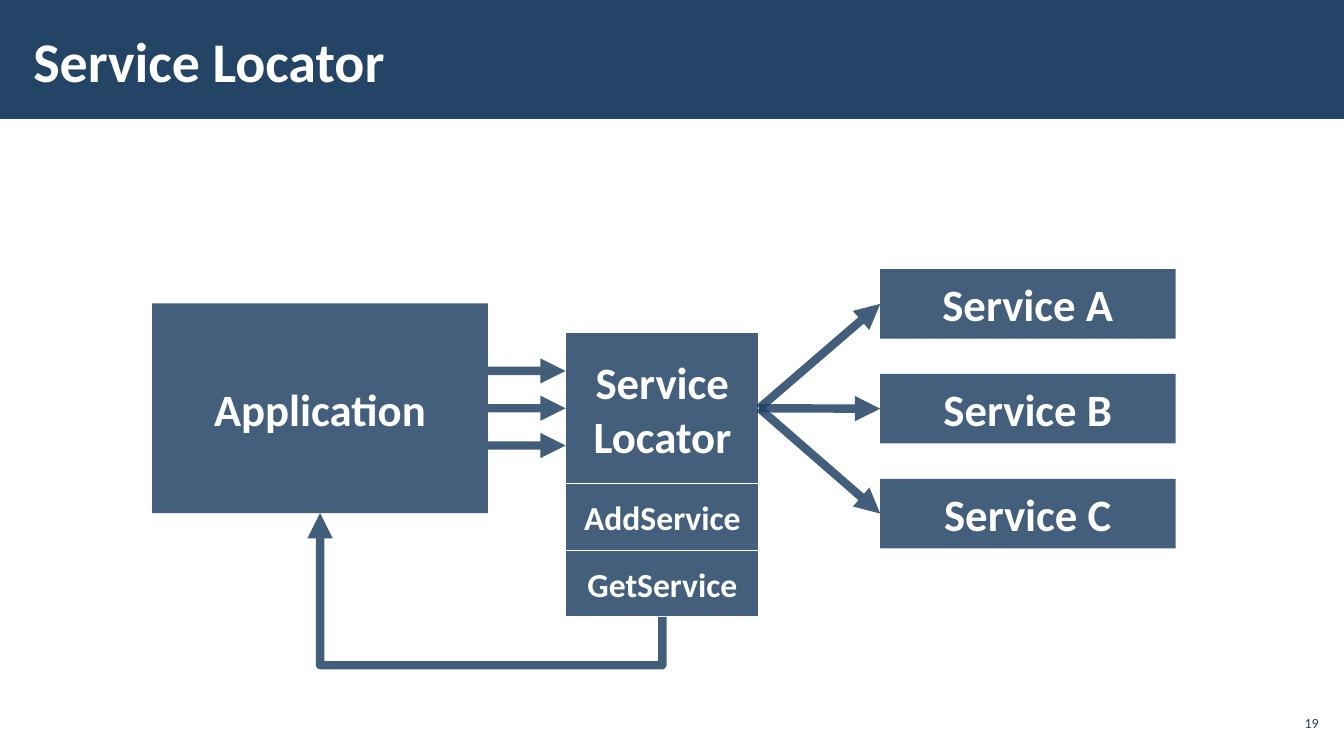
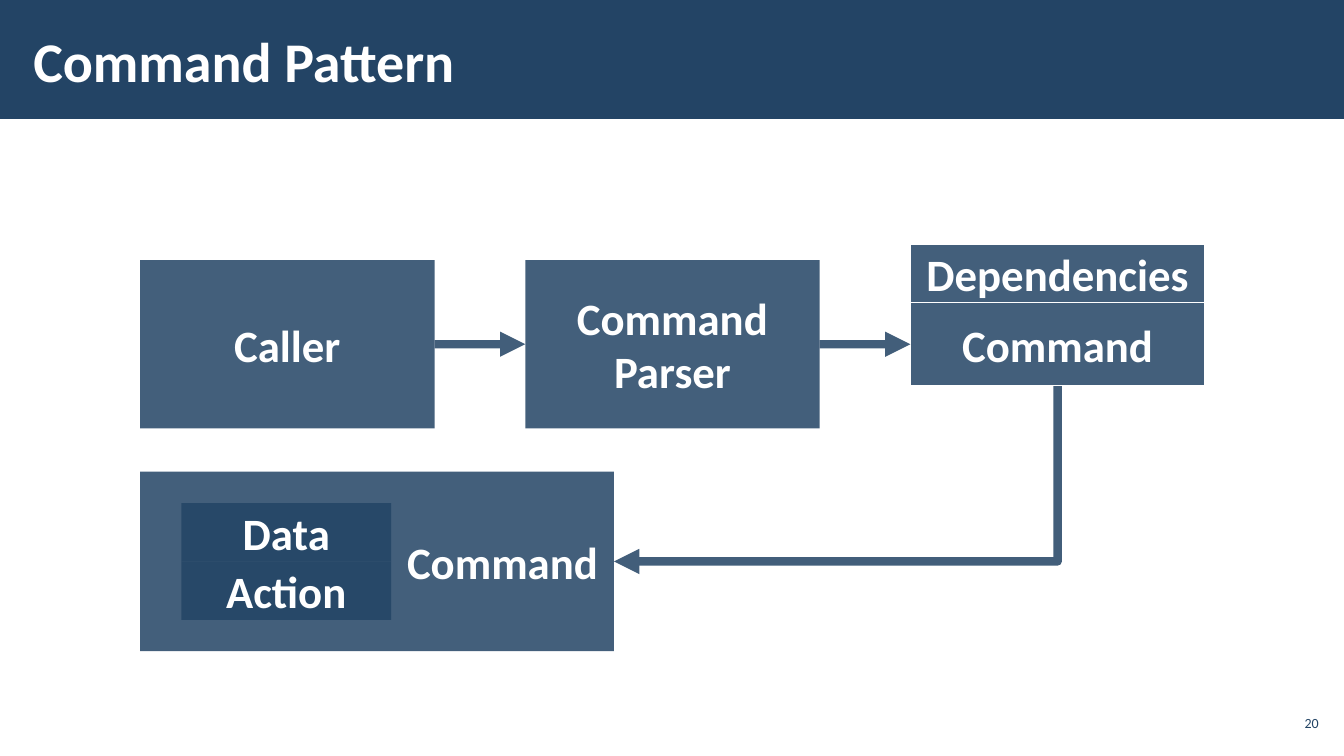
from dataclasses import dataclass

from lxml import etree
from pptx import Presentation
from pptx.dml.color import RGBColor
from pptx.enum.shapes import MSO_CONNECTOR, MSO_SHAPE
from pptx.enum.text import MSO_ANCHOR, PP_ALIGN
from pptx.oxml.ns import qn
from pptx.util import Inches, Pt

RECT = MSO_SHAPE.RECTANGLE
STRAIGHT, ELBOW = MSO_CONNECTOR.STRAIGHT, MSO_CONNECTOR.ELBOW
MIDDLE = MSO_ANCHOR.MIDDLE
LEFT_ALIGN, CENTER, RIGHT_ALIGN = PP_ALIGN.LEFT, PP_ALIGN.CENTER, PP_ALIGN.RIGHT
LEFT, BOTTOM, RIGHT = 1, 2, 3


@dataclass(frozen=True)
class Theme:
    """Colours, font, type sizes and line widths of the deck."""
    navy: RGBColor = RGBColor(0x23, 0x44, 0x65)
    white: RGBColor = RGBColor(0xFF, 0xFF, 0xFF)
    font: str = "Calibri"
    title: int = 40
    label: int = 32
    method: int = 24
    footer: int = 10
    arrow: int = 6
    outline: int = 1
    opacity: int = 85


THEME = Theme()


def write(shape, text, size, color, bold=True, align=CENTER):
    """Set the text of a shape in one style, centred vertically."""
    tf = shape.text_frame
    tf.word_wrap = True
    tf.vertical_anchor = MIDDLE
    p = tf.paragraphs[0]
    p.text = text
    p.alignment = align
    font = p.font
    font.name, font.size, font.bold = THEME.font, Pt(size), bold
    font.color.rgb = color


def set_insets(shape, left, top, right, bottom):
    """Set the text margins of a shape in inches."""
    tf = shape.text_frame
    tf.margin_left, tf.margin_top = Inches(left), Inches(top)
    tf.margin_right, tf.margin_bottom = Inches(right), Inches(bottom)


def make_translucent(shape):
    """Give the colours already set on a shape the theme opacity."""
    for color in shape.element.spPr.iter(qn("a:srgbClr")):
        etree.SubElement(color, qn("a:alpha"), val=str(THEME.opacity * 1000))


def add_rect(shapes, x, y, w, h):
    """Add a plain navy rectangle."""
    rect = shapes.add_shape(RECT, Inches(x), Inches(y), Inches(w), Inches(h))
    rect.shadow.inherit = False
    rect.fill.solid()
    rect.fill.fore_color.rgb = THEME.navy
    rect.line.fill.background()
    return rect


def add_block(shapes, x, y, w, h, text, size=THEME.label, outlined=False):
    """Add a translucent labelled block."""
    block = add_rect(shapes, x, y, w, h)
    make_translucent(block)
    if outlined:
        block.line.color.rgb = THEME.white
        block.line.width = Pt(THEME.outline)
    write(block, text, size, THEME.white)
    return block


def add_stack(shapes, x, y, w, rows):
    """Stack outlined blocks from (height, text, size) rows."""
    blocks = []
    for h, text, size in rows:
        blocks.append(add_block(shapes, x, y, w, h, text, size, outlined=True))
        y += h
    return blocks


def add_arrow(s, x1, y1, x2, y2, kind=STRAIGHT):
    """Add a thick arrow between two points."""
    arrow = s.shapes.add_connector(kind, x1, y1, x2, y2)
    arrow.line.color.rgb = THEME.navy
    arrow.line.width = Pt(THEME.arrow)
    make_translucent(arrow)
    spPr = arrow.element.spPr
    ln = spPr.find(qn("a:ln"))
    etree.SubElement(ln, qn("a:round"))
    etree.SubElement(ln, qn("a:tailEnd"), type="triangle")
    etree.SubElement(spPr, qn("a:effectLst"))
    return arrow


def link(s, source, target, source_site=RIGHT, target_site=LEFT, kind=STRAIGHT):
    """Join two blocks with an arrow glued to their sides."""
    arrow = add_arrow(s, 0, 0, 0, 0, kind)
    arrow.begin_connect(source, source_site)
    arrow.end_connect(target, target_site)
    return arrow


def link_from_below(s, source, target, target_site, drop=None):
    """Join a block's bottom to a block on its left, with an optional drop below."""
    arrow = link(s, source, target, BOTTOM, target_site, ELBOW)
    x1, y1, x2, y2 = arrow.begin_x, arrow.begin_y, arrow.end_x, arrow.end_y
    w, h = abs(y2 - y1), abs(x2 - x1)
    spPr = arrow.element.spPr
    xfrm = spPr.find(qn("a:xfrm"))
    xfrm.attrib.clear()
    xfrm.set("rot", str(90 * 60000))
    if y2 < y1:
        xfrm.set("flipH", "1")
    arrow.left, arrow.top = (x1 + x2 - w) // 2, (y1 + y2 - h) // 2
    arrow.width, arrow.height = w, h
    geom = spPr.find(qn("a:prstGeom"))
    if drop is None:
        geom.set("prst", "bentConnector2")
    else:
        bend = round(-Inches(drop) / w * 100000)
        etree.SubElement(geom.find(qn("a:avLst")), qn("a:gd"),
                         name="adj1", fmla=f"val {bend}")


def add_text(s, x, y, w, h, insets, *style, **options):
    """Add a text box with the given margins and style."""
    box = s.shapes.add_textbox(Inches(x), Inches(y), Inches(w), Inches(h))
    set_insets(box, *insets)
    write(box, *style, **options)


def add_base_slide(prs, title, number):
    """Add a slide with its title band and page number."""
    s = prs.slides.add_slide(prs.slide_layouts[6])
    add_rect(s.shapes, 0, -0.02, 13.33, 1.2)
    add_text(s, 0.21, 0.11, 10.39, 0.97, (0.12, 0.04, 0.12, 0.04),
             title, THEME.title, THEME.white, align=LEFT_ALIGN)
    add_text(s, 12.65, 7, 0.47, 0.34, (0.04,) * 4,
             str(number), THEME.footer, THEME.navy, bold=False, align=RIGHT_ALIGN)
    return s


def draw_service_locator(s, x, y):
    """Draw the application, the locator and its services from a corner."""
    app = add_block(s.shapes, x, y + 0.34, 3.33, 2.08, "Application")
    locator, _, getter = add_stack(s.shapes, x + 4.1, y + 0.63, 1.92, [
        (1.5, "Service Locator", THEME.label),
        (0.66, "AddService", THEME.method),
        (0.66, "GetService", THEME.method),
    ])
    for i, letter in enumerate("ABC"):
        service = add_block(s.shapes, x + 7.22, y + 1.04 * i, 2.93, 0.69,
                            f"Service {letter}")
        link(s, locator, service)
    link(s, app, locator)
    for offset in (-0.37, 0.37):
        level = app.top + app.height // 2 + Inches(offset)
        add_arrow(s, app.left + app.width, level, locator.left, level)
    link_from_below(s, getter, app, BOTTOM, drop=0.48)


def draw_command_pattern(s, x, y):
    """Draw the path from caller to command from a corner."""
    pitch, w = 3.82, 2.92
    caller, parser = [
        add_block(s.shapes, x + pitch * i, y + 0.16, w, 1.67, text)
        for i, text in enumerate(("Caller", "Command Parser"))
    ]
    _, command = add_stack(s.shapes, x + 2 * pitch, y, w, [
        (0.58, "Dependencies", THEME.label),
        (0.83, "Command", THEME.label),
    ])
    link(s, caller, parser)
    link(s, parser, command)
    result = add_block(s.shapes, x, y + 2.26, 4.7, 1.78, "Command")
    set_insets(result, 2.49, 0.05, 0, 0.05)
    contents = s.shapes.add_group_shape()
    for i, text in enumerate(("Data", "Action")):
        add_block(contents.shapes, x + 0.41, y + 2.57 + 0.58 * i, 2.08, 0.58, text)
    link_from_below(s, command, result, RIGHT)


def main():
    """Build and save the deck."""
    prs = Presentation()
    prs.slide_width, prs.slide_height = Inches(13.33), Inches(7.5)
    draw_service_locator(add_base_slide(prs, "Service Locator", 19), 1.51, 2.67)
    draw_command_pattern(add_base_slide(prs, "Command Pattern", 20), 1.39, 2.42)
    prs.save("out.pptx")


if __name__ == "__main__":
    main()
